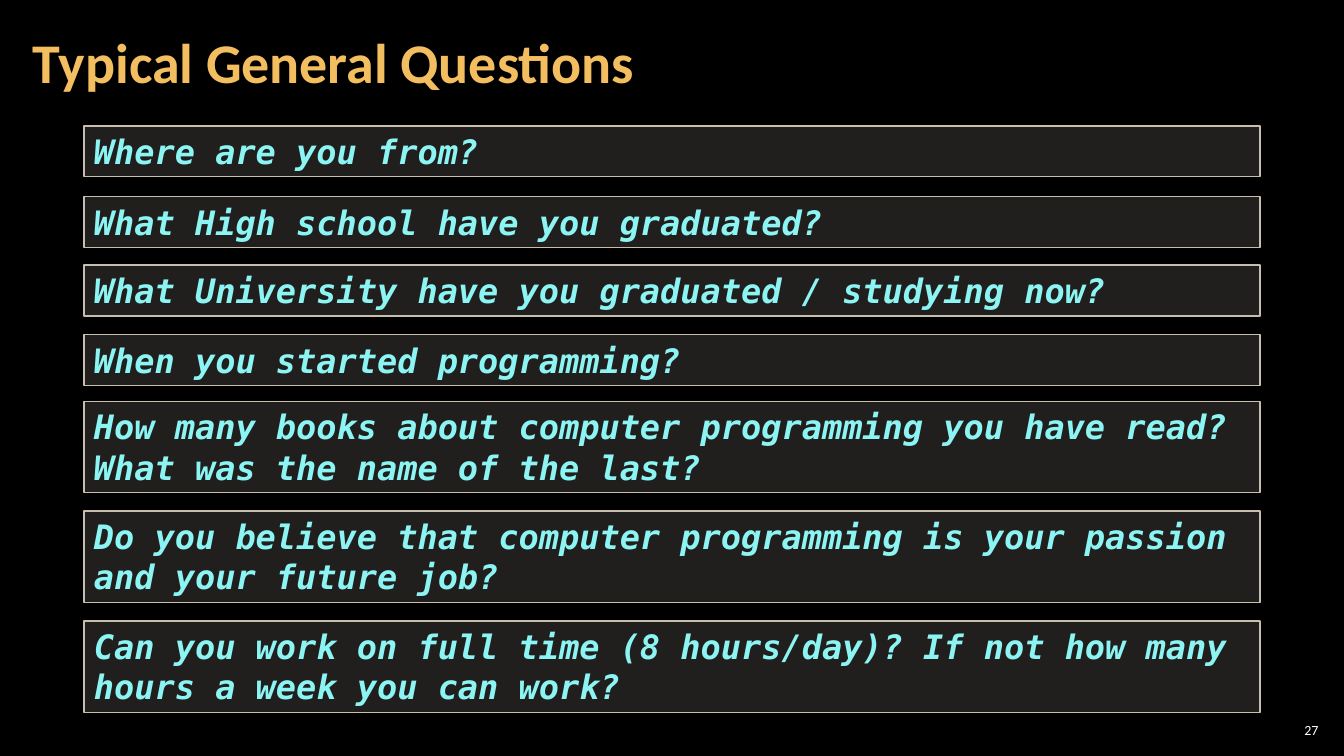
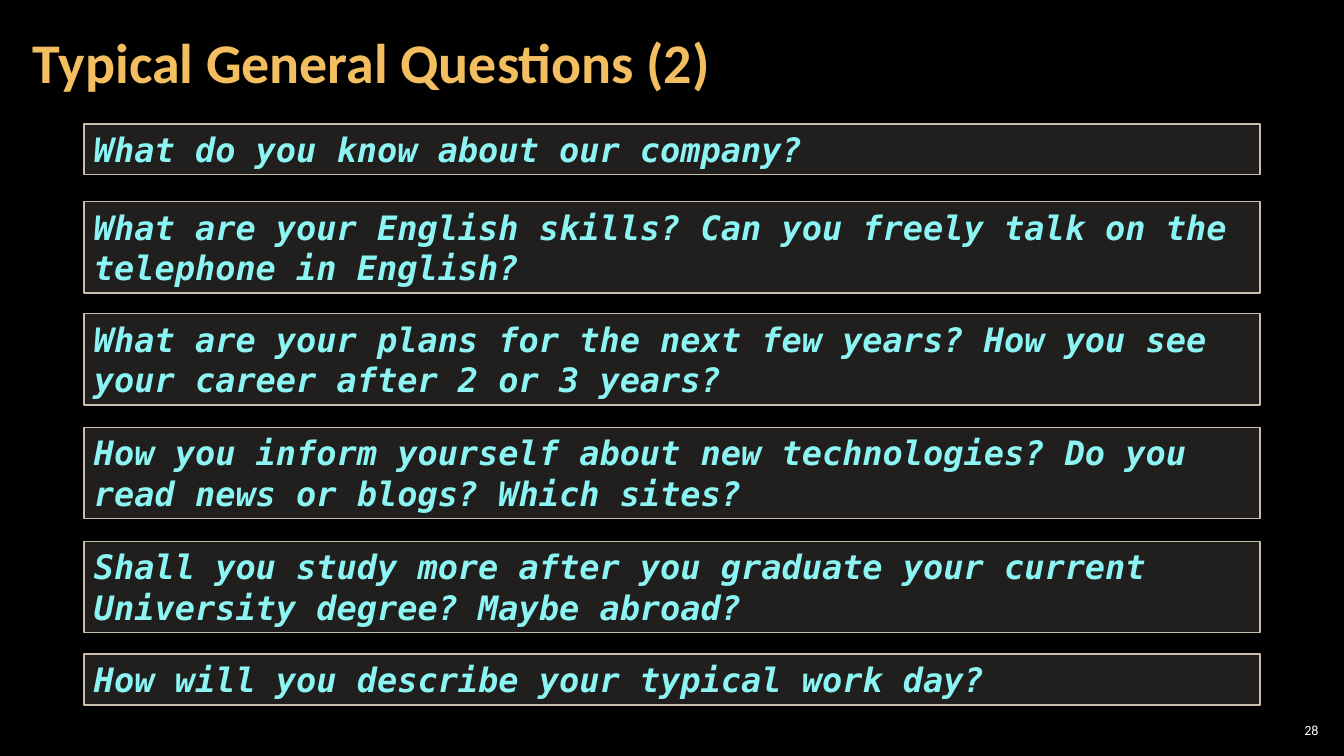
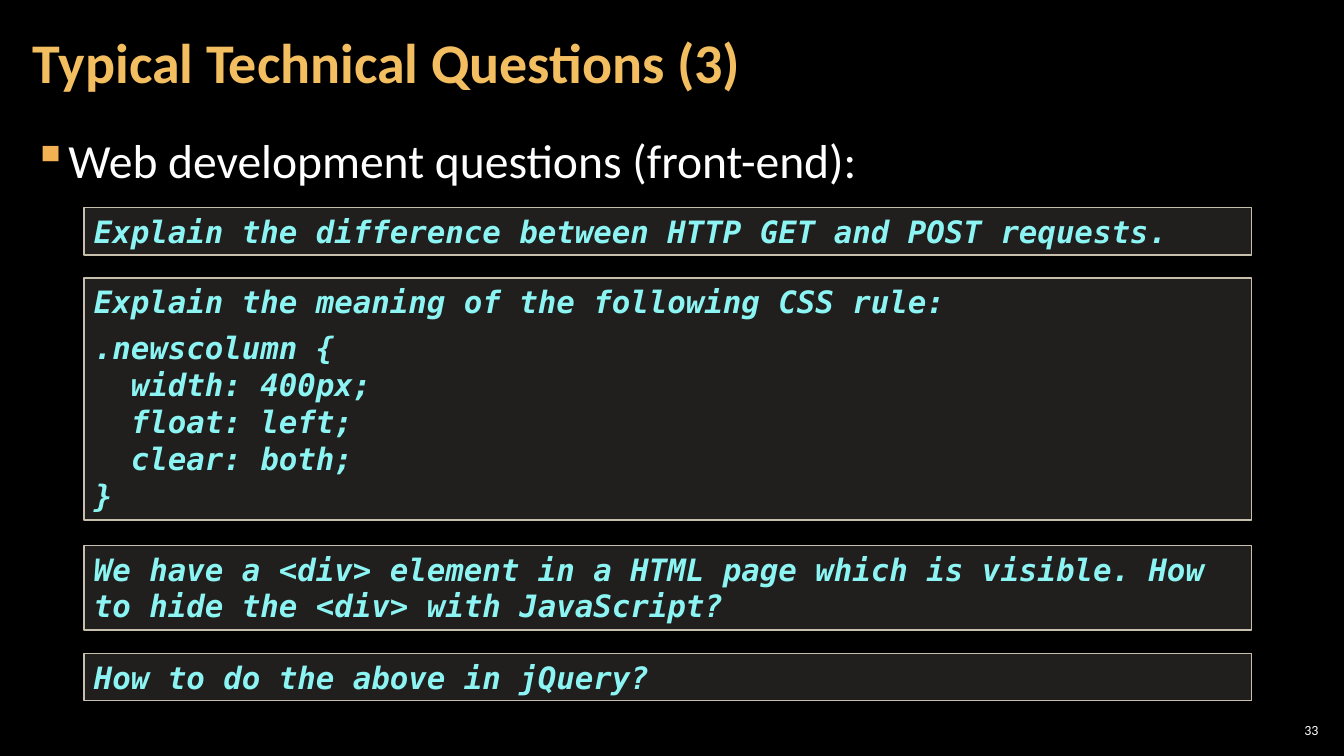
from lxml.etree import SubElement
from pptx import Presentation
from pptx.dml.color import RGBColor
from pptx.enum.shapes import MSO_SHAPE
from pptx.enum.text import MSO_ANCHOR, PP_ALIGN
from pptx.oxml.ns import qn
from pptx.util import Pt

COLOURS = {
    "background": "000000",
    "title": "F3BE60",
    "text": "FFFFFF",
    "bullet": "F2B254",
    "box": "D9D5C7",
    "border": "C7BFAC",
    "question": "8CF4F2",
}
BODY_FONT = "Calibri"
CODE_FONT = "DejaVu Sans Mono"
BOX_OPACITY = 15
BOX_LEFT = 60
LINE_HEIGHT = 1.21
BOX_PADDING = 7.2


def colour(name):
    return RGBColor.from_string(COLOURS[name])


class Deck:
    def __init__(self):
        self.presentation = Presentation()
        self.presentation.slide_width = Pt(960)
        self.presentation.slide_height = Pt(540)
        self.slide = None

    def add_slide(self, title, number):
        self.slide = self.presentation.slides.add_slide(self.presentation.slide_layouts[6])
        fill = self.slide.background.fill
        fill.solid()
        fill.fore_color.rgb = colour("background")
        self.page_number(number)
        self.title(title)

    def style(self, paragraph, size, colour_name, font_name=BODY_FONT, bold=False, italic=False):
        font = paragraph.font
        font.name = font_name
        font.size = Pt(size)
        font.color.rgb = colour(colour_name)
        font.bold = bold
        font.italic = italic

    def text_box(self, text, left, top, width, height, side_inset, anchor=MSO_ANCHOR.MIDDLE):
        shape = self.slide.shapes.add_textbox(Pt(left), Pt(top), Pt(width), Pt(height))
        frame = shape.text_frame
        frame.word_wrap = True
        frame.vertical_anchor = anchor
        frame.margin_left = frame.margin_right = Pt(side_inset)
        frame.margin_top = frame.margin_bottom = Pt(2.83)
        frame.text = text
        return frame.paragraphs[0]

    def page_number(self, number):
        paragraph = self.text_box(str(number), 910.8, 514.1, 33.8, 15.1, 2.83)
        paragraph.alignment = PP_ALIGN.RIGHT
        self.style(paragraph, 10, "text")

    def title(self, text):
        paragraph = self.text_box(text, 15, 3, 754, 87, 8.5)
        paragraph.line_spacing = 0.9
        self.style(paragraph, 40, "title", bold=True)

    def bullet(self, text):
        paragraph = self.text_box(text, 15, 90.7, 929.6, 438.5, 8.5, MSO_ANCHOR.TOP)
        properties = paragraph._p.get_or_add_pPr()
        properties.set("marL", str(Pt(24)))
        properties.set("indent", str(-Pt(24)))
        bullet_colour = SubElement(properties, qn("a:buClr"))
        SubElement(bullet_colour, qn("a:srgbClr"), val=COLOURS["bullet"])
        SubElement(properties, qn("a:buChar"), char="▪")
        paragraph.space_after = Pt(6)
        self.style(paragraph, 34, "text")

    def question(self, top, lines, text, code=(), size=24, width=840):
        code_gap = 6 if code else 0
        height = BOX_PADDING + lines * size * LINE_HEIGHT + code_gap
        shape = self.slide.shapes.add_shape(
            MSO_SHAPE.RECTANGLE, Pt(BOX_LEFT), Pt(top), Pt(width), Pt(height))
        shape.shadow.inherit = False
        shape.fill.solid()
        shape.fill.fore_color.rgb = colour("box")
        fill_colour = shape.fill._xPr.find(qn("a:solidFill"))[0]
        SubElement(fill_colour, qn("a:alpha"), val=str(BOX_OPACITY * 1000))
        shape.line.color.rgb = colour("border")
        shape.line.width = Pt(1)
        frame = shape.text_frame
        frame.word_wrap = True
        frame.vertical_anchor = MSO_ANCHOR.TOP
        frame.text = "\n".join([text, *code])
        for paragraph in frame.paragraphs:
            paragraph.alignment = PP_ALIGN.LEFT
            self.style(paragraph, size, "question", CODE_FONT, bold=True, italic=True)
        if code:
            frame.paragraphs[1].space_before = Pt(code_gap)


GENERAL_QUESTIONS = [
    ("Typical General Questions", 27, [
        (90, 1, "Where are you from?"),
        (140.4, 1, "What High school have you graduated?"),
        (189.4, 1, "What University have you graduated / studying now?"),
        (239, 1, "When you started programming?"),
        (286.6, 2, "How many books about computer programming you have read? "
                   "What was the name of the last?"),
        (365, 2, "Do you believe that computer programming is your passion "
                 "and your future job?"),
        (443.5, 2, "Can you work on full time (8 hours/day)? If not how many "
                   "hours a week you can work?"),
    ]),
    ("Typical General Questions (2)", 28, [
        (88.6, 1, "What do you know about our company?"),
        (144, 2, "What are your English skills? Can you freely talk on the "
                 "telephone in English?"),
        (223.9, 2, "What are your plans for the next few years? How you see "
                   "your career after 2 or 3 years?"),
        (305.3, 2, "How you inform yourself about new technologies? Do you "
                   "read news or blogs? Which sites?"),
        (386.6, 2, "Shall you study more after you graduate your current "
                   "University degree? Maybe abroad?"),
        (467.3, 1, "How will you describe your typical work day?"),
    ]),
]

CSS_RULE = [".newscolumn {", "  width: 400px;", "  float: left;", "  clear: both;", "}"]

FRONT_END_QUESTIONS = [
    (148.3, 1, "Explain the difference between HTTP GET and POST requests."),
    (198.7, 6, "Explain the meaning of the following CSS rule:", CSS_RULE),
    (389.5, 2, "We have a <div> element in a HTML page which is visible. How "
               "to hide the <div> with JavaScript?"),
    (466.6, 1, "How to do the above in jQuery?"),
]


def main():
    deck = Deck()
    for title, number, questions in GENERAL_QUESTIONS:
        deck.add_slide(title, number)
        for question in questions:
            deck.question(*question)

    deck.add_slide("Typical Technical Questions (3)", 33)
    deck.bullet("Web development questions (front-end):")
    for question in FRONT_END_QUESTIONS:
        deck.question(*question, size=22, width=834)

    deck.presentation.save("out.pptx")


if __name__ == "__main__":
    main()
